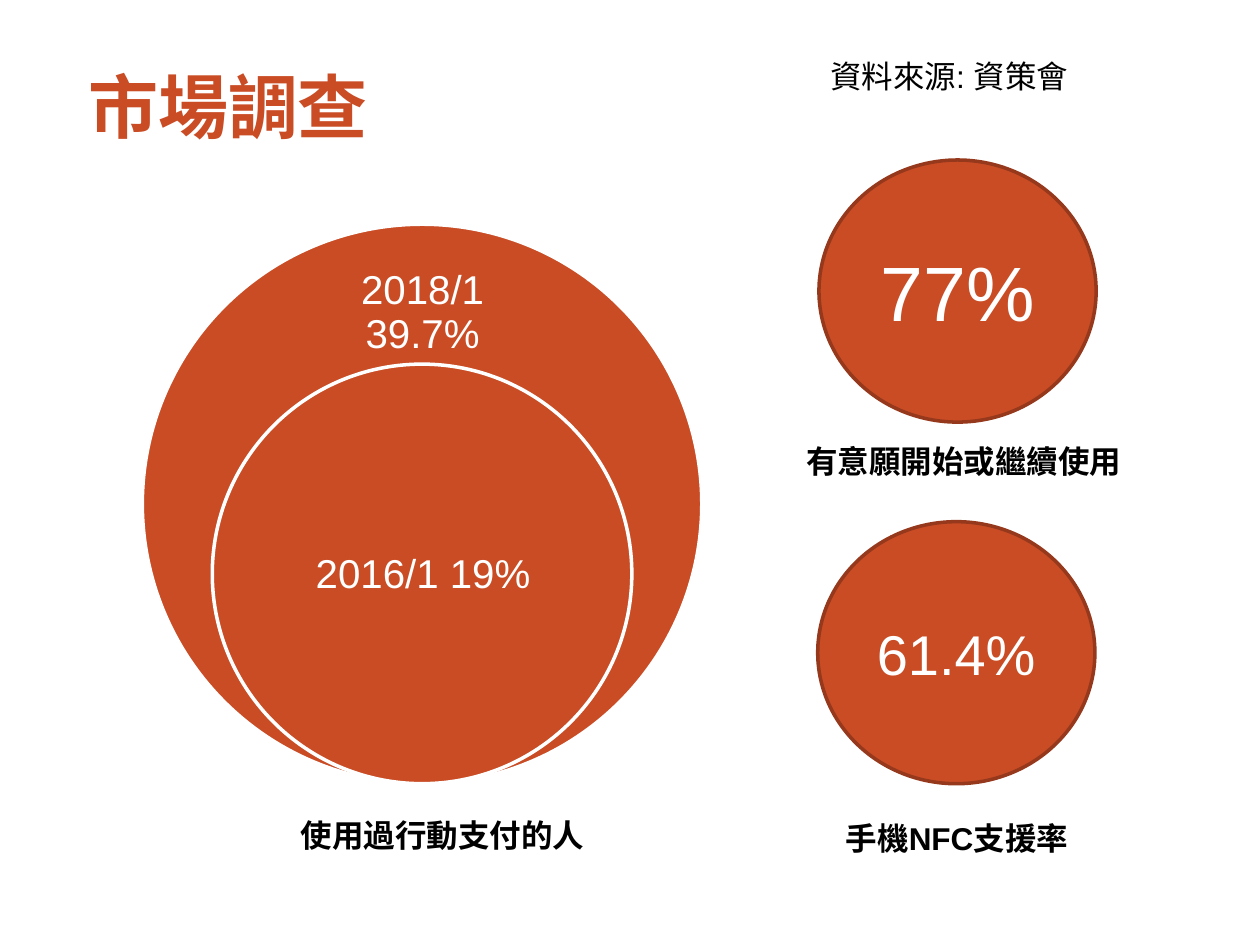
from dataclasses import dataclass

from pptx import Presentation
from pptx.dml.color import RGBColor
from pptx.enum.shapes import MSO_SHAPE
from pptx.enum.text import MSO_ANCHOR, MSO_AUTO_SIZE, PP_ALIGN
from pptx.util import Inches, Pt


@dataclass(frozen=True)
class Theme:
    accent: RGBColor = RGBColor(0xC9, 0x4C, 0x25)
    accent_dark: RGBColor = RGBColor(0x95, 0x38, 0x1B)
    white: RGBColor = RGBColor(0xFF, 0xFF, 0xFF)
    black: RGBColor = RGBColor(0, 0, 0)
    title_font: str = "Roboto"
    body_font: str = "Arial"
    title_size: int = 40
    huge_size: int = 44
    large_size: int = 32
    ring_size: int = 23
    label_size: int = 18
    line_width: int = 2


THEME = Theme()


def add_run(paragraph, text, size, color, bold=False, font=THEME.body_font):
    run = paragraph.add_run()
    run.text = text
    run.font.name = font
    run.font.size = Pt(size)
    run.font.bold = bold
    run.font.color.rgb = color


def set_title(slide, text):
    title = slide.shapes.title
    title.left, title.top = Inches(0.5), Inches(0.4)
    title.width, title.height = Inches(5.33), Inches(0.87)
    frame = title.text_frame
    frame.margin_left = Inches(0.2)
    frame.margin_right = 0
    frame.vertical_anchor = MSO_ANCHOR.MIDDLE
    paragraph = frame.paragraphs[0]
    paragraph.alignment = PP_ALIGN.LEFT
    add_run(paragraph, text, THEME.title_size, THEME.accent, True, THEME.title_font)


def add_circle(slide, left, top, width, height, line_color):
    circle = slide.shapes.add_shape(
        MSO_SHAPE.OVAL, Inches(left), Inches(top), Inches(width), Inches(height))
    circle.shadow.inherit = False
    circle.fill.solid()
    circle.fill.fore_color.rgb = THEME.accent
    circle.line.color.rgb = line_color
    circle.line.width = Pt(THEME.line_width)
    return circle


def add_text_box(slide, left, top, width, height, align):
    """Add a wrapping text box and return its frame and first paragraph."""
    box = slide.shapes.add_textbox(
        Inches(left), Inches(top), Inches(width), Inches(height))
    frame = box.text_frame
    frame.word_wrap = True
    paragraph = frame.paragraphs[0]
    paragraph.alignment = align
    return frame, paragraph


def add_ring(slide, center, bottom, diameter, text, text_area):
    """Add a nested circle that rests on bottom, with its text in text_area."""
    add_circle(slide, center - diameter / 2, bottom - diameter,
               diameter, diameter, THEME.white)
    frame, paragraph = add_text_box(slide, *text_area, PP_ALIGN.CENTER)
    frame.margin_left = frame.margin_right = Inches(0.18)
    frame.margin_top = frame.margin_bottom = Inches(0.18)
    frame.vertical_anchor = MSO_ANCHOR.MIDDLE
    paragraph.line_spacing = 0.9
    add_run(paragraph, text, THEME.ring_size, THEME.white)


def add_figure(slide, left, top, text, size):
    circle = add_circle(slide, left, top, 2.2, 2.08, THEME.accent_dark)
    frame = circle.text_frame
    frame.vertical_anchor = MSO_ANCHOR.MIDDLE
    paragraph = frame.paragraphs[0]
    paragraph.alignment = PP_ALIGN.CENTER
    add_run(paragraph, text, size, THEME.white)


def add_label(slide, left, top, width, text, align=PP_ALIGN.CENTER, bold=True):
    frame, paragraph = add_text_box(slide, left, top, width, 0.4, align)
    frame.auto_size = MSO_AUTO_SIZE.SHAPE_TO_FIT_TEXT
    add_run(paragraph, text, THEME.label_size, THEME.black, bold)


def main():
    presentation = Presentation()
    presentation.slide_width = Inches(10)
    presentation.slide_height = Inches(7.5)
    slide = presentation.slides.add_slide(presentation.slide_layouts[5])

    set_title(slide, "市場調查")

    center, bottom = 3.35, 6.22
    add_ring(slide, center, bottom, 4.44, "2018/1 39.7%", (2.19, 2.11, 2.33, 0.76))
    add_ring(slide, center, bottom, 3.33, "2016/1 19%", (2.18, 3.73, 2.36, 1.67))
    add_label(slide, 1.54, 6.43, 3.94, "使用過行動支付的人")

    add_figure(slide, 6.5, 1.27, "77%", THEME.huge_size)
    add_label(slide, 6.3, 3.46, 2.83, "有意願開始或繼續使用", PP_ALIGN.LEFT)
    add_figure(slide, 6.49, 4.14, "61.4%", THEME.large_size)
    add_label(slide, 6.18, 6.45, 2.83, "手機NFC支援率")

    add_label(slide, 6.49, 0.4, 3.15, "資料來源: 資策會", PP_ALIGN.LEFT, bold=False)

    presentation.save("out.pptx")


if __name__ == "__main__":
    main()
